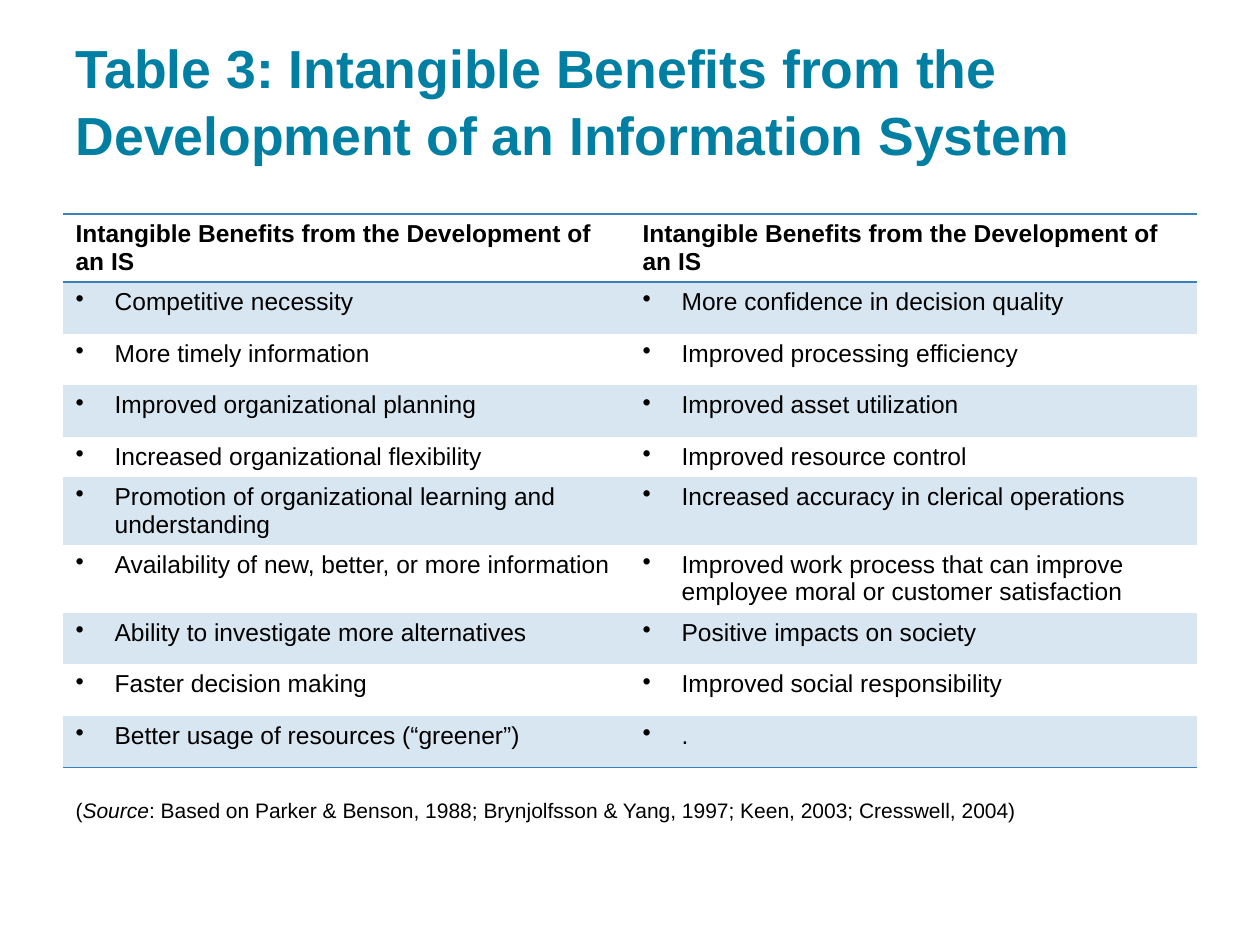
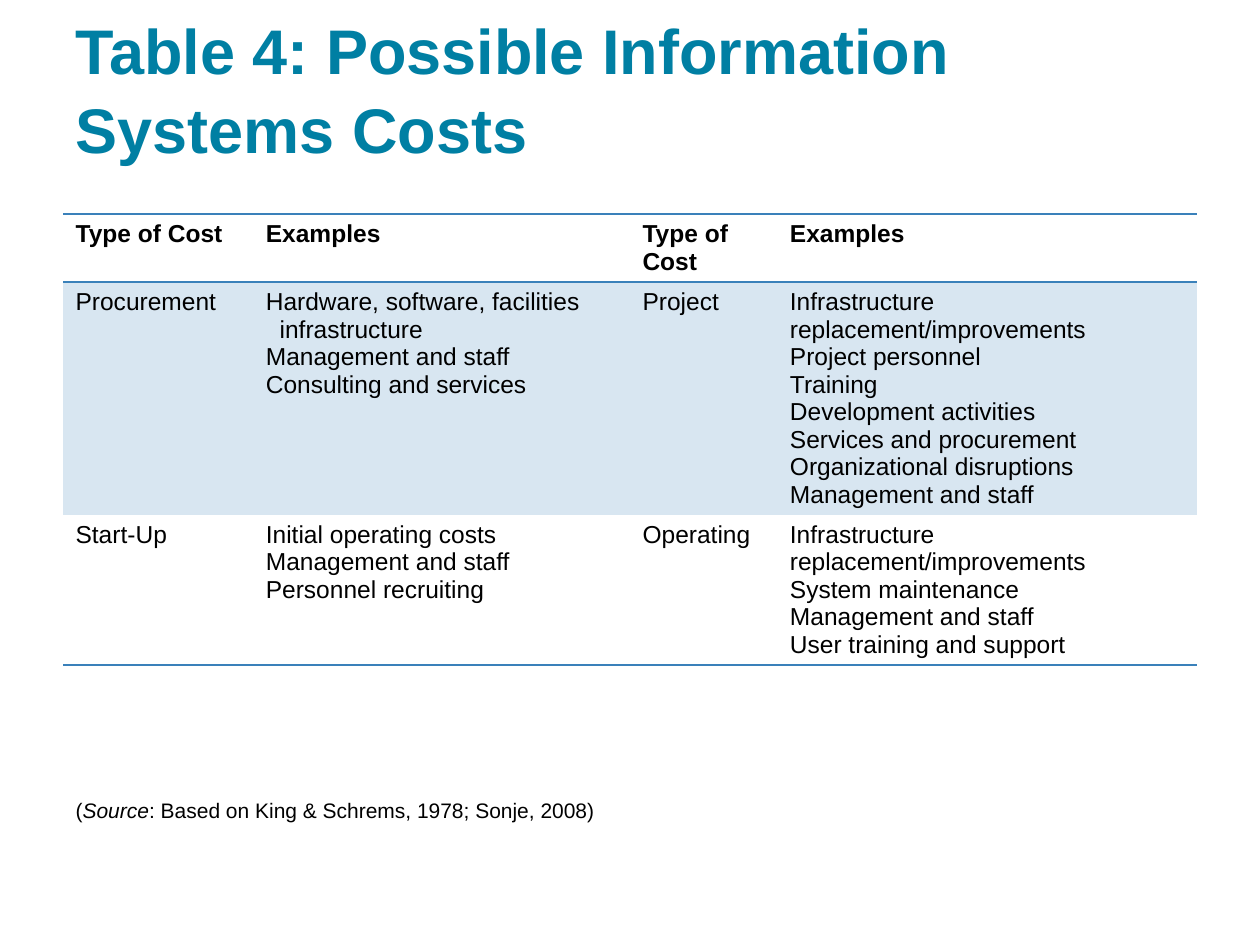
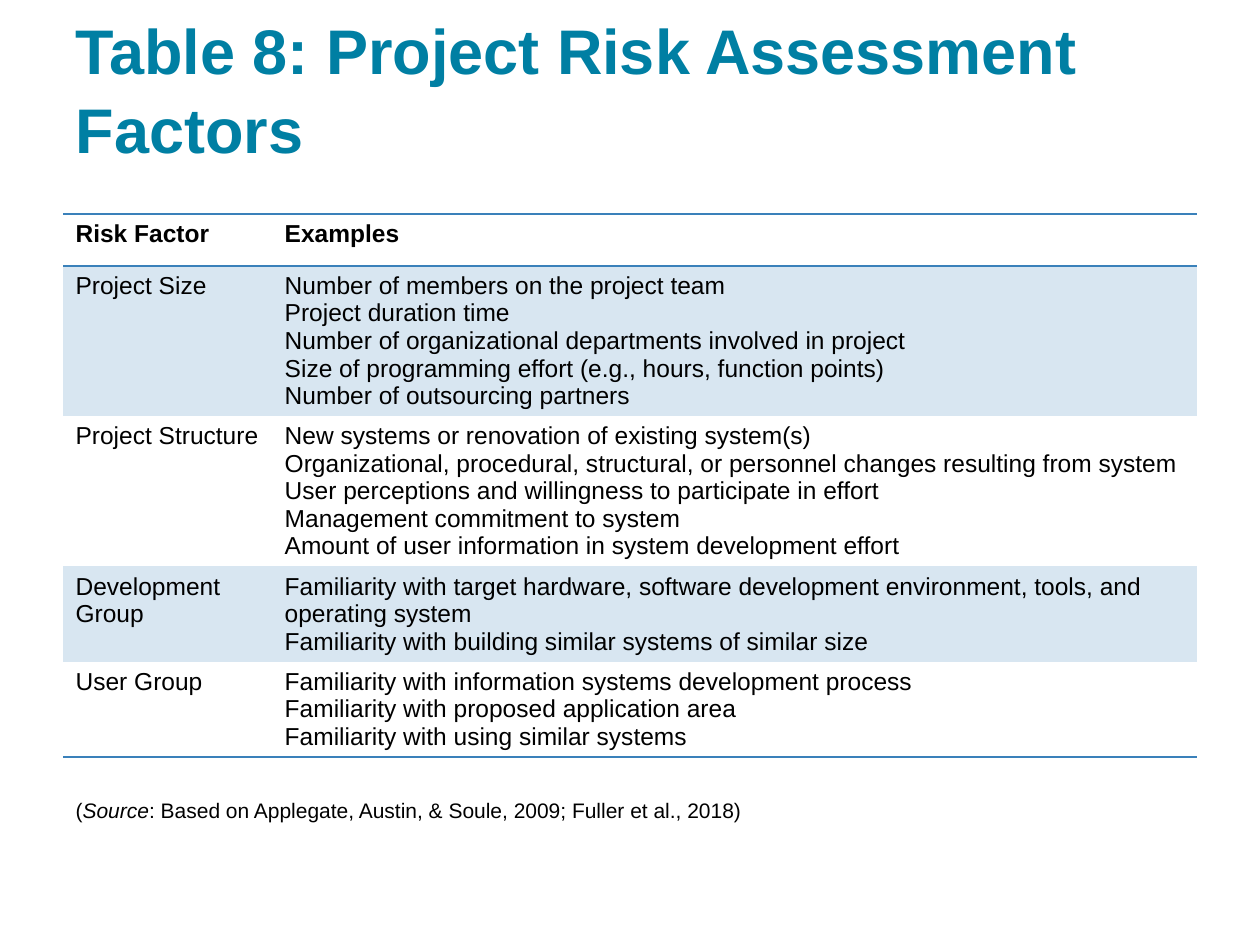
"""Build three slides of titled tables with source lines."""
from lxml import etree
from pptx import Presentation
from pptx.dml.color import RGBColor
from pptx.enum.text import MSO_ANCHOR, MSO_AUTO_SIZE, PP_ALIGN
from pptx.oxml.ns import qn
from pptx.util import Inches, Pt

BOTTOM, NO_FIT, LEFT = MSO_ANCHOR.BOTTOM, MSO_AUTO_SIZE.NONE, PP_ALIGN.LEFT
COLORS = {"title": "007FA3", "text": "000000", "line": "3A81BA", "band": "D8E6F1"}
FONT = "Arial"
PLAIN = "{2D5ABB26-0587-4C30-8999-92F81FD0307C}"
EDGE, WIDE = 0.5, 9
ROW, LOW = 0.41, 0.32
FOOT = 6.63
HEAD = "Intangible Benefits from the Development of an IS"
SETUP = "Hardware, software, facilities infrastructure"
REPLACE = "Infrastructure replacement/improvements"

SLIDES = [
    {
        "title": "Table 3: Intangible Benefits from the Development of an Information System",
        "size": 30.6,
        "source": "Parker & Benson, 1988; Brynjolfsson & Yang, 1997; Keen, 2003; Cresswell, 2004",
        "deep": 0.39,
        "cols": [4.5, 4.5],
        "low": [4],
        "bullet": True,
        "rows": [
            [HEAD, HEAD],
            ["Competitive necessity", "More confidence in decision quality"],
            ["More timely information", "Improved processing efficiency"],
            ["Improved organizational planning", "Improved asset utilization"],
            ["Increased organizational flexibility", "Improved resource control"],
            ["Promotion of organizational learning and understanding",
             "Increased accuracy in clerical operations"],
            ["Availability of new, better, or more information",
             "Improved work process that can improve employee moral or customer satisfaction"],
            ["Ability to investigate more alternatives", "Positive impacts on society"],
            ["Faster decision making", "Improved social responsibility"],
            ["Better usage of resources (“greener”)", "."],
        ],
    },
    {
        "title": "Table 4: Possible Information Systems Costs",
        "size": 36,
        "source": "King & Schrems, 1978; Sonje, 2008",
        "deep": 0.41,
        "cols": [1.51, 2.99, 1.17, 3.33],
        "hang": {SETUP: 0.11},
        "rows": [
            ["Type of Cost", "Examples"] * 2,
            ["Procurement",
             [SETUP, "Management and staff", "Consulting and services"],
             "Project",
             [REPLACE, "Project personnel", "Training", "Development activities",
              "Services and procurement", "Organizational disruptions",
              "Management and staff"]],
            ["Start-Up",
             ["Initial operating costs", "Management and staff", "Personnel recruiting"],
             "Operating",
             [REPLACE, "System maintenance", "Management and staff",
              "User training and support"]],
        ],
    },
    {
        "title": "Table 8: Project Risk Assessment Factors",
        "size": 36,
        "source": "Applegate, Austin, & Soule, 2009; Fuller et al., 2018",
        "deep": 0.45,
        "cols": [1.66, 7.34],
        "rows": [
            ["Risk Factor", "Examples"],
            ["Project Size",
             ["Number of members on the project team",
              "Project duration time",
              "Number of organizational departments involved in project",
              "Size of programming effort (e.g., hours, function points)",
              "Number of outsourcing partners"]],
            ["Project Structure",
             ["New systems or renovation of existing system(s)",
              "Organizational, procedural, structural, or personnel changes resulting from system",
              "User perceptions and willingness to participate in effort",
              "Management commitment to system",
              "Amount of user information in system development effort"]],
            ["Development Group",
             ["Familiarity with target hardware, software development environment, "
              "tools, and operating system",
              "Familiarity with building similar systems of similar size"]],
            ["User Group",
             ["Familiarity with information systems development process",
              "Familiarity with proposed application area",
              "Familiarity with using similar systems"]],
        ],
    },
]


def style(run, size, color="text", bold=False, italic=False):
    font = run.font
    font.name, font.size, font.bold, font.italic = FONT, Pt(size), bold, italic
    font.color.rgb = RGBColor.from_string(COLORS[color])


def indent(para, depth, mark=None):
    props = para._p.get_or_add_pPr()
    props.set("marL", str(Inches(depth)))
    props.set("indent", str(-Inches(depth)))
    if mark:
        etree.SubElement(props, qn("a:buChar")).set("char", mark)
    else:
        etree.SubElement(props, qn("a:buNone"))


def rule(cell, side):
    line = etree.Element(qn("a:ln" + side), w=str(Pt(1)))
    fill = etree.SubElement(line, qn("a:solidFill"))
    etree.SubElement(fill, qn("a:srgbClr")).set("val", COLORS["line"])
    cell._tc.get_or_add_tcPr().insert(0, line)


def place(shape, top, deep):
    shape.left, shape.top = Inches(EDGE), Inches(top)
    shape.width, shape.height = Inches(WIDE), Inches(deep)
    frame = shape.text_frame
    frame.word_wrap, frame.auto_size = True, NO_FIT
    frame.vertical_anchor = BOTTOM
    frame.margin_left = frame.margin_right = Inches(0.1)
    frame.margin_top = frame.margin_bottom = Inches(0.1)
    return frame.paragraphs[0]


def add_title(slide, data):
    para = place(slide.shapes.title, 0.25, 1.17)
    para.text = data["title"]
    para.alignment, para.line_spacing = LEFT, 1.05
    style(para.runs[0], data["size"], "title", bold=True)


def add_source(slide, data):
    para = place(slide.placeholders[1], FOOT - data["deep"], data["deep"])
    indent(para, 0)
    para.space_before = Pt(0)
    for text in ("(", "Source", f": Based on {data['source']})"):
        run = para.add_run()
        run.text = text
        style(run, 12, italic=text == "Source")


def fill_cell(cell, entry, row, last, data):
    lines = [entry] if isinstance(entry, str) else entry
    cell.text_frame.text = "\n".join(lines)
    for para in cell.text_frame.paragraphs:
        if row and data.get("bullet"):
            indent(para, 0.31, "•")
        elif para.text in data.get("hang", {}):
            indent(para, data["hang"][para.text])
        style(para.runs[0], 14, bold=row == 0)
    if row % 2:
        cell.fill.solid()
        cell.fill.fore_color.rgb = RGBColor.from_string(COLORS["band"])
    else:
        cell.fill.background()
    if row in (0, last):
        rule(cell, "B")
    if row == 0:
        rule(cell, "T")


def add_grid(slide, data):
    rows, cols = data["rows"], data["cols"]
    shape = slide.shapes.add_table(len(rows), len(cols), Inches(EDGE), Inches(1.7),
                                   Inches(WIDE), Inches(ROW * len(rows)))
    next(shape.element.iter(qn("a:tableStyleId"))).text = PLAIN
    table = shape.table
    table.first_row = table.horz_banding = False
    for col, wide in zip(table.columns, cols):
        col.width = Inches(wide)
    for r, row in enumerate(rows):
        table.rows[r].height = Inches(LOW if r in data.get("low", []) else ROW)
        for c, entry in enumerate(row):
            fill_cell(table.cell(r, c), entry, r, len(rows) - 1, data)


def main():
    deck = Presentation()
    deck.slide_width, deck.slide_height = Inches(10), Inches(7.5)
    for data in SLIDES:
        slide = deck.slides.add_slide(deck.slide_layouts[1])
        add_title(slide, data)
        add_source(slide, data)
        add_grid(slide, data)
    deck.save("out.pptx")


if __name__ == "__main__":
    main()
